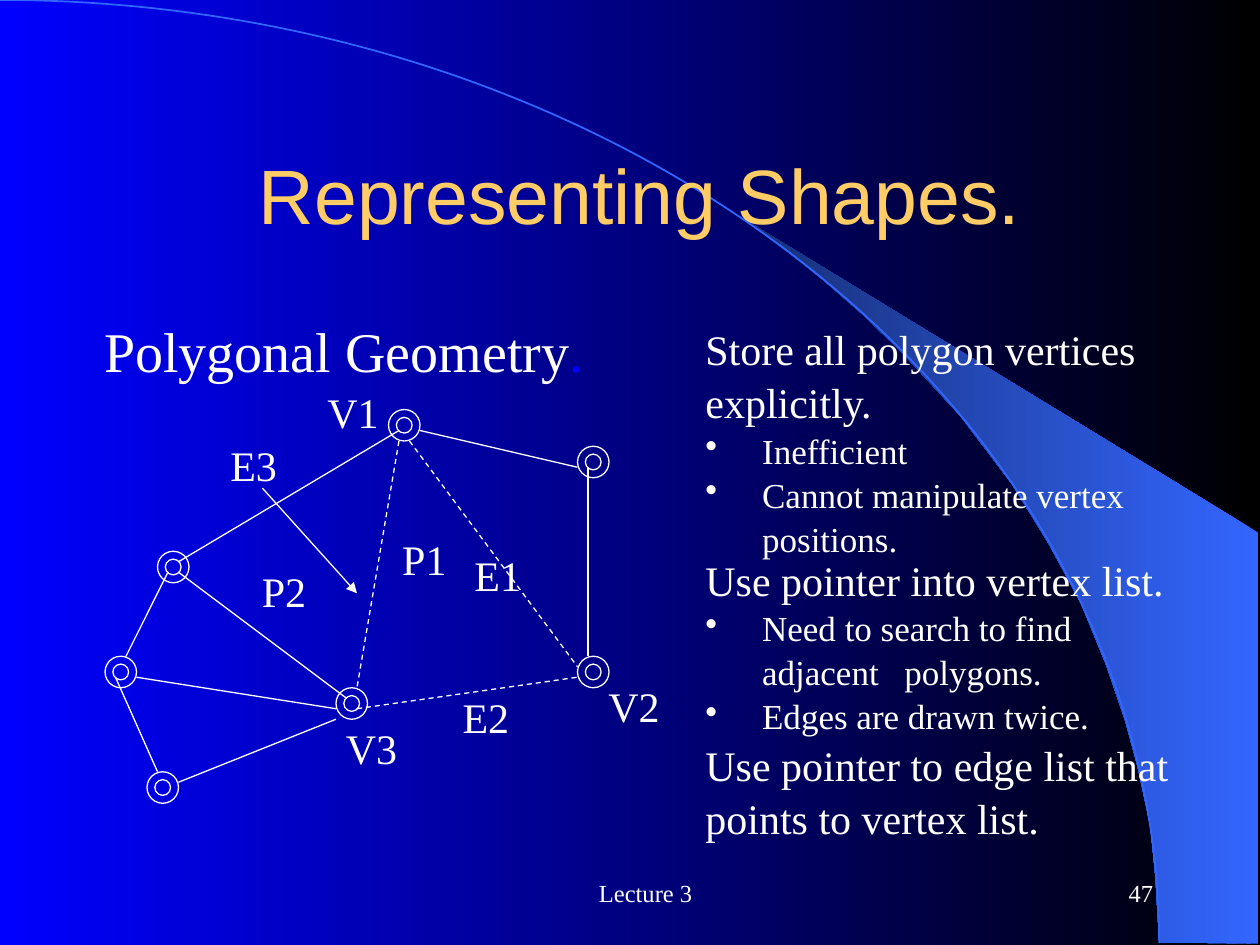
from lxml.etree import SubElement
from pptx import Presentation
from pptx.dml.color import RGBColor
from pptx.enum.dml import MSO_LINE
from pptx.enum.shapes import MSO_CONNECTOR, MSO_SHAPE
from pptx.enum.text import MSO_ANCHOR, PP_ALIGN
from pptx.oxml.ns import qn
from pptx.util import Inches, Pt

COLORS = {
    "black": "000000", "blue": "0000FF", "white": "FFFFFF", "gold": "FFCC66",
    "sky": "3366FF", "navy": "172F75",
}
GRID = 24  # grid cells per inch
NODE = 6   # node diameter in cells
SERIF = "Times New Roman"

WEDGE = [
    (9.2, 7.48), (9.99, 7.49), (9.99, 4.23), (5.89, 1.73), (6.24, 1.99),
    (6.53, 2.22), (6.85, 2.5), (7.16, 2.8), (7.62, 3.3), (8.03, 3.84),
    (8.32, 4.31), (8.58, 4.79), (8.78, 5.28), (8.93, 5.72), (9.03, 6.09),
    (9.13, 6.56), (9.17, 6.96),
]
# Columns and rows of the grid
NODES = [(30, 105), (64, 131), (74, 78), (20, 125), (28, 147), (110, 85), (110, 125)]
SOLID_EDGES = [
    (34, 109, 66, 133), (26, 129, 64, 135), (32, 109, 24, 125), (22, 129, 30, 147),
    (34, 149, 64, 137), (34, 107, 76, 82), (112, 89, 112, 125), (80, 82, 110, 89),
]
DASHED_EDGES = [(76, 84, 68, 131), (78, 84, 110, 127), (68, 135, 110, 129)]
LABELS = {
    "V1": (60, 72), "V2": (113.5, 128), "V3": (63.5, 136), "P1": (74.25, 100),
    "P2": (47.5, 106), "E1": (88, 103), "E2": (85.75, 130), "E3": (41.5, 82),
}
STORE_NOTES = [
    ("Store all polygon vertices explicitly.", False),
    ("Inefficient", True),
    ("Cannot manipulate vertex positions.", True),
]
POINTER_NOTES = [
    ("Use pointer into vertex list.", False),
    ("Need to search to find adjacent\tpolygons.", True),
    ("Edges are drawn twice.", True),
    ("Use pointer to edge list that points to vertex list.", False),
]


def rgb(name):
    return RGBColor.from_string(COLORS[name])


def cells(*counts):
    return [Inches(n / GRID) for n in counts]


def set_gradient(fill, first, last):
    """Fill from right (first) to left (last)."""
    fill.gradient()
    fill.gradient_angle = 180
    for stop, name, position in zip(fill.gradient_stops, (first, last), (0, 1)):
        stop.color.rgb = rgb(name)
        stop.position = position


def set_line(sp, color="white", width=0.75):
    sp.line.color.rgb = rgb(color)
    sp.line.width = Pt(width)


def add_outline(slide, preset, box, color="white", width=0.75):
    sp = slide.shapes.add_shape(preset, *box)
    sp.shadow.inherit = False
    sp.fill.background()
    set_line(sp, color, width)


def add_wedge(slide):
    points = [(Inches(x), Inches(y)) for x, y in WEDGE]
    builder = slide.shapes.build_freeform(*points[0])
    builder.add_line_segments(points[1:], close=True)
    sp = builder.convert_to_shape()
    sp.shadow.inherit = False
    set_gradient(sp.fill, "sky", "navy")
    sp.line.fill.background()


def add_edge(slide, ends, dashed=False, arrow=False):
    line = slide.shapes.add_connector(MSO_CONNECTOR.STRAIGHT, *cells(*ends))
    set_line(line)
    if dashed:
        line.line.dash_style = MSO_LINE.DASH
    if arrow:
        SubElement(line.line._get_or_add_ln(), qn("a:tailEnd"), type="triangle")
    SubElement(line._element.spPr, qn("a:effectLst"))


def add_run(p, text, size=24, color="white", font=SERIF):
    r = p.add_run()
    r.text = text
    r.font.size = Pt(size)
    r.font.name = font
    r.font.color.rgb = rgb(color)


def add_box(slide, box, anchor=MSO_ANCHOR.TOP):
    tf = slide.shapes.add_textbox(*(Inches(n) for n in box)).text_frame
    tf.word_wrap = True
    tf.vertical_anchor = anchor
    return tf


def add_text(slide, text, box, align=PP_ALIGN.LEFT, anchor=MSO_ANCHOR.TOP,
             spacing=1.05, **run_format):
    p = add_box(slide, box, anchor).paragraphs[0]
    p.alignment = align
    p.line_spacing = spacing
    add_run(p, text, **run_format)
    return p


def set_bullet(p):
    pPr = p._p.get_or_add_pPr()
    pPr.set("marL", str(Inches(0.45)))
    pPr.set("indent", str(-Inches(0.45)))
    SubElement(pPr, qn("a:buChar"), char="•")
    tabs = SubElement(pPr, qn("a:tabLst"))
    SubElement(tabs, qn("a:tab"), pos=str(Inches(1.58)), algn="l")


def add_notes(slide, notes, box):
    tf = add_box(slide, box)
    for i, (text, bulleted) in enumerate(notes):
        p = tf.add_paragraph() if i else tf.paragraphs[0]
        if bulleted:
            set_bullet(p)
        p.line_spacing = 1.05
        add_run(p, text, size=20 if bulleted else 24)


def add_backdrop(slide):
    set_gradient(slide.background.fill, "black", "blue")
    add_wedge(slide)
    arc = [Inches(n) for n in (-9.2, 0, 18.4, 14.97)]
    add_outline(slide, MSO_SHAPE.ARC, arc, "sky", 1)


def add_mesh(slide):
    for col, row in NODES:
        add_outline(slide, MSO_SHAPE.DONUT, cells(col, row, NODE, NODE))
    for ends in SOLID_EDGES:
        add_edge(slide, ends)
    for ends in DASHED_EDGES:
        add_edge(slide, ends, dashed=True)
    for text, (col, row) in LABELS.items():
        add_text(slide, text, (col / GRID, row / GRID, 0.65, 0.5))
    add_edge(slide, (50, 93, 68, 113), arrow=True)


def main():
    prs = Presentation()
    prs.slide_width, prs.slide_height = Inches(10), Inches(7.5)
    slide = prs.slides.add_slide(prs.slide_layouts[6])
    add_backdrop(slide)
    add_text(slide, "Representing Shapes.", (0.83, 1, 8.5, 1.08), PP_ALIGN.CENTER,
             MSO_ANCHOR.MIDDLE, spacing=1, size=44, color="gold", font="Arial")
    heading = add_text(slide, "Polygonal Geometry", (0.73, 2.44, 4.2, 0.64), size=32)
    add_run(heading, ".", size=32, color="blue")
    add_mesh(slide)
    add_notes(slide, POINTER_NOTES, (5.5, 4.33, 4.02, 2.3))
    add_notes(slide, STORE_NOTES, (5.5, 2.5, 4.18, 2.24))
    add_text(slide, "Lecture 3", (3.54, 6.83, 3.17, 0.5), PP_ALIGN.CENTER,
             MSO_ANCHOR.MIDDLE, size=14)
    add_text(slide, "47", (7.17, 6.83, 2.08, 0.5), PP_ALIGN.RIGHT,
             MSO_ANCHOR.MIDDLE, size=14)
    prs.save("out.pptx")


if __name__ == "__main__":
    main()
